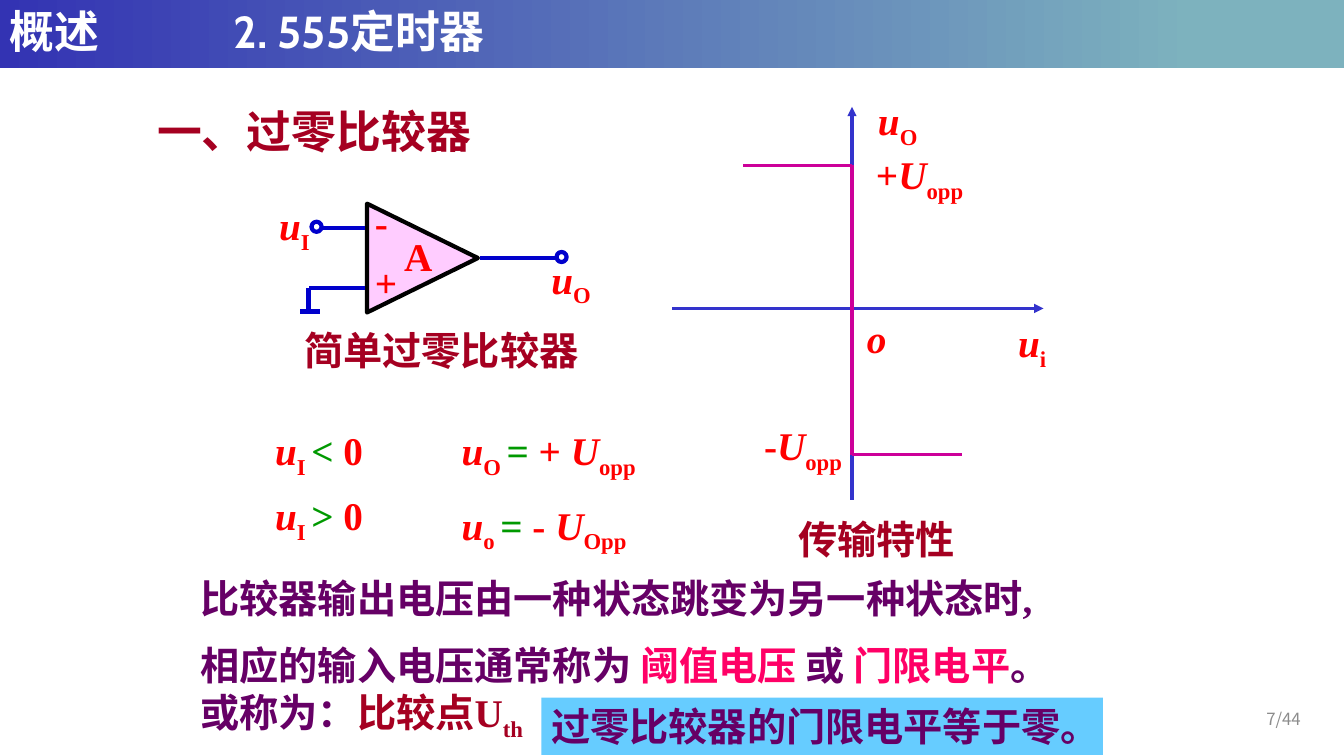
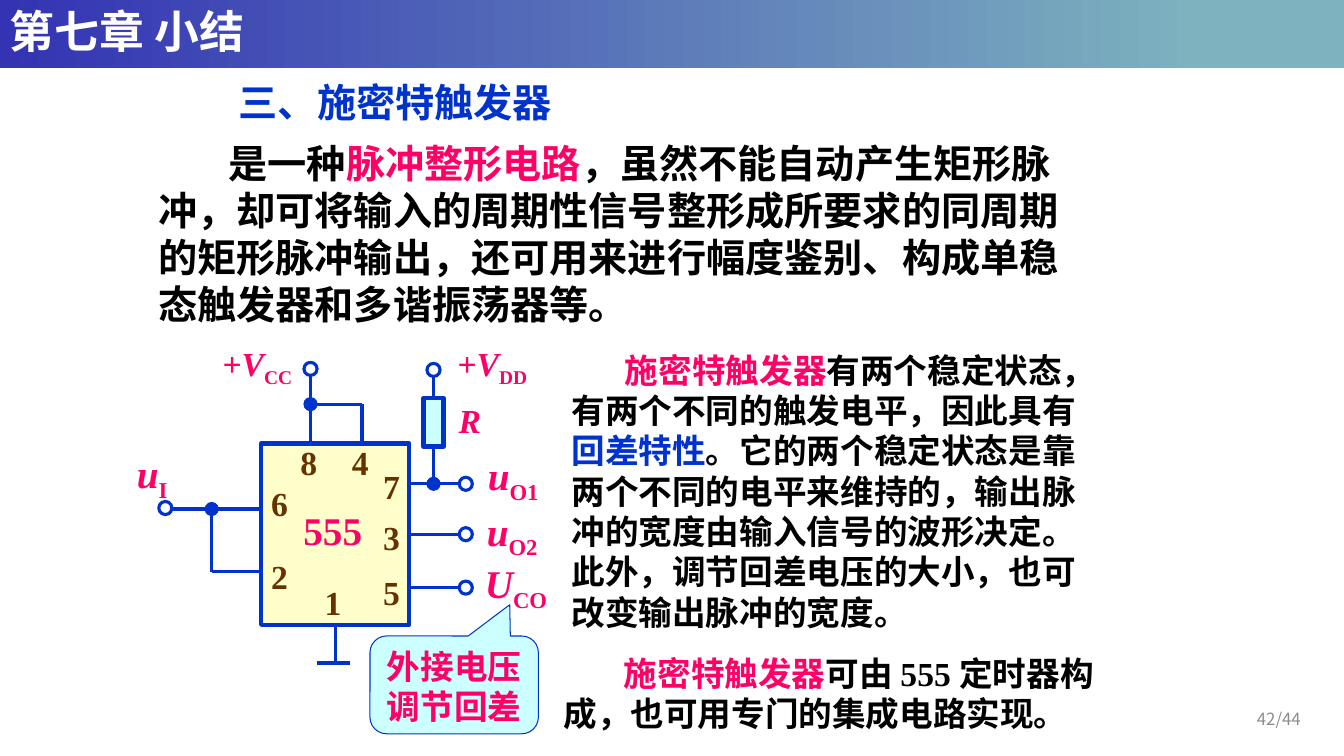
from itertools import pairwise

from lxml import etree
from pptx import Presentation
from pptx import util as u
from pptx.dml.color import RGBColor
from pptx.enum import shapes, text
from pptx.oxml.ns import qn

# Grid: one cell is a tenth of an inch
CELL = u.Inches(0.1)
COLUMNS, ROWS = 133.3, 75

WHITE = RGBColor(0xFF, 0xFF, 0xFF)
BLACK = RGBColor(0, 0, 0)
GREY = RGBColor(0x8C, 0x8C, 0x8C)
BAND_START = RGBColor(0x33, 0x33, 0xB3)
BAND_END = RGBColor(0x7D, 0xB2, 0xBE)
RED = RGBColor(0xFF, 0, 0)
DARK_RED = RGBColor(0xA5, 0, 0x21)
PURPLE = RGBColor(0x66, 0, 0x66)
PINK = RGBColor(0xFF, 0, 0x66)
GREEN = RGBColor(0, 0x99, 0)
BROWN = RGBColor(0x66, 0x33, 0)
BLUE = RGBColor(0, 0x33, 0xCC)
WIRE_BLUE = RGBColor(0, 0, 0xCC)
AXIS_BLUE = RGBColor(0x33, 0x33, 0xCC)
MAGENTA = RGBColor(0xCC, 0, 0x99)
PALE_PINK = RGBColor(0xFF, 0xCC, 0xFF)
PALE_YELLOW = RGBColor(0xFF, 0xFF, 0xCC)
PALE_CYAN = RGBColor(0xCC, 0xFF, 0xFF)
SKY = RGBColor(0x66, 0xCC, 0xFF)

SERIF, TITLE_FONT = "Times New Roman", "Cabin"
SANS, HEADING_FONT = "Noto Sans CJK SC", "Noto Sans CJK JP"
SHAPE = shapes.MSO_SHAPE


def cells(*counts):
    return [u.Emu(round(count * CELL)) for count in counts]


def add_span(para, content, size=28, color=BLACK, font=SERIF, east=SANS,
             bold=True, style=""):
    """Style "i" is italic and "s" is subscript."""
    span = para.add_run()
    span.text = content
    span.font.size = u.Pt(size)
    span.font.bold = bold
    span.font.italic = style == "i"
    span.font.name = font
    span.font.color.rgb = color
    props = span.font._element
    if style == "s":
        props.set("baseline", "-25000")
    etree.SubElement(props, qn("a:ea")).set("typeface", east)


def write(box, *paragraphs, inset=True, indent=0, space=0, spacing=None, tab=0,
          align=text.PP_ALIGN.LEFT, anchor=text.MSO_ANCHOR.TOP, **style):
    """Each paragraph is a string or a list of (text, style[, colour])."""
    frame = box.text_frame
    frame.word_wrap = True
    frame.vertical_anchor = anchor
    if not inset:
        frame.margin_left = frame.margin_right = 0
        frame.margin_top = frame.margin_bottom = 0
    for index, spans in enumerate(paragraphs):
        para = frame.add_paragraph() if index else frame.paragraphs[0]
        para.alignment = align
        para.line_spacing = spacing
        if index:
            para.space_before = u.Pt(space)
        props = para._p.get_or_add_pPr()
        if indent and not index:
            props.set("indent", str(cells(indent)[0]))
        if tab:
            stops = etree.SubElement(props, qn("a:tabLst"))
            etree.SubElement(stops, qn("a:tab"), pos=str(cells(tab)[0]), algn="l")
        if isinstance(spans, str):
            spans = [(spans, "")]
        for content, kind, *color in spans:
            look = {**style, "color": color[0]} if color else style
            add_span(para, content, style=kind, **look)


class Panel:
    """A region of a page; every place is relative to its origin."""

    def __init__(self, page, left=0, top=0, ink=BLUE):
        self.page, self.left, self.top, self.ink = page, left, top, ink

    def shape(self, kind, left, top, width, height, fill, line=None, weight=3):
        box = self.page.shapes.add_shape(
            kind, *cells(self.left + left, self.top + top, width, height))
        box.shadow.inherit = False
        box.fill.solid()
        box.fill.fore_color.rgb = fill
        if line is None:
            box.line.fill.background()
        else:
            box.line.color.rgb = line
            box.line.width = u.Pt(weight)
        return box

    def label(self, left, top, *paragraphs, width=12, height=5.7, **style):
        box = self.page.shapes.add_textbox(
            *cells(self.left + left, self.top + top, width, height))
        write(box, *paragraphs, **style)

    def circle(self, x, y, size=1.3, fill=WHITE, weight=2.25):
        self.shape(SHAPE.OVAL, x - size / 2, y - size / 2, size, size,
                   fill, self.ink, weight)

    def wire(self, *points, weight=2.25, color=None, arrow=False, start=None, end=None):
        """Straight lines through the points; start and end are (shape, site)."""
        for (x1, y1), (x2, y2) in pairwise(points):
            line = self.page.shapes.add_connector(
                shapes.MSO_CONNECTOR.STRAIGHT,
                *cells(self.left + x1, self.top + y1, self.left + x2, self.top + y2))
            line.line.color.rgb = color or self.ink
            line.line.width = u.Pt(weight)
            if arrow:
                etree.SubElement(line.line._get_or_add_ln(), qn("a:tailEnd"),
                                 type="triangle")
            etree.SubElement(line._element.spPr, qn("a:effectLst"))
            if start:
                line.begin_connect(*start)
            if end:
                line.end_connect(*end)


def symbol(name, sub, sign=""):
    return [(sign, "")] * bool(sign) + [(name, "i"), (sub, "s")]


def add_page(deck, title, number):
    """Blank page with the shared title band and page number."""
    page = deck.slides.add_slide(deck.slide_layouts[6])
    panel = Panel(page)
    band = panel.shape(SHAPE.RECTANGLE, 0, 0, COLUMNS, 6.8, BAND_START)
    band.fill.gradient()
    band.fill.gradient_angle = 0
    for stop, color, position in zip(band.fill.gradient_stops,
                                     (BAND_START, BAND_END), (0, 0.89)):
        stop.color.rgb = color
        stop.position = position
    write(band, title, size=32, color=WHITE, font=TITLE_FONT, spacing=0.9,
          tab=22.2, anchor=text.MSO_ANCHOR.MIDDLE)
    panel.label(116.9, 69.3, f"{number}/44", width=13.1, height=4, size=12,
                color=GREY, font=SANS, bold=False, align=text.PP_ALIGN.RIGHT,
                anchor=text.MSO_ANCHOR.MIDDLE)
    return page


def draw_amplifier(page, left, top):
    panel = Panel(page, left, top, WIRE_BLUE)
    body = panel.shape(SHAPE.ISOSCELES_TRIANGLE, 9.5, 0.1, 10.8, 11, PALE_PINK, BLACK)
    body.rotation = 90
    # Inputs, ground and output
    panel.wire((5, 2.6), (9.2, 2.6), weight=3)
    panel.wire((9.2, 8.6), (3.6, 8.6), (3.6, 10.9), weight=3)
    panel.wire((2.8, 10.9), (4.7, 10.9), weight=3)
    panel.wire((20.6, 5.6), (28.1, 5.6), weight=3)
    for x, y in ((4.4, 2.5), (28.7, 5.5)):
        panel.circle(x, y, size=1, weight=3)
    for x, y, name in ((9.2, 5.1, "+"), (9.2, -0.8, "-"), (12.1, 2.6, "A"),
                       (26.7, 4.8, symbol("u", "O")), (-0.3, -0.5, symbol("u", "I"))):
        panel.label(x, y, name, width=6.4, color=RED)
    panel.label(2.2, 11.9, "简单过零比较器", width=31.2, color=DARK_RED)


def draw_transfer_curve(page, left, top):
    """Graph whose origin is the crossing of its axes."""
    panel = Panel(page, left, top, AXIS_BLUE)
    panel.wire((-17.8, 0), (19, 0), arrow=True)
    panel.wire((0, 19), (0, -20), arrow=True)
    panel.wire((-10.8, -14.2), (0, -14.2), (0, 14.5), (10.9, 14.5), color=MAGENTA)
    for x, y, name in ((1.6, -21.5, symbol("u", "O")), (15.5, 0.5, symbol("u", "i")),
                       (0.5, 0.1, [("o", "i")]), (1.4, -16.2, symbol("U", "opp", "+")),
                       (-9.7, 10.7, symbol("U", "opp", "-"))):
        panel.label(x, y, name, color=RED)
    panel.label(-6.3, 20, "传输特性", width=18, color=DARK_RED)


def write_formulas(page, left, top):
    panel = Panel(page, left, top)
    rows = (("<", "O ", " + ", "opp"), (">", "o ", " - ", "Opp"))
    for row, (relation, output, sign, level) in enumerate(rows):
        panel.label(0, row * 6.5, symbol("u", "I ") + [(relation, "", GREEN), (" 0", "")],
                    width=12.9, color=RED)
        panel.label(18.5, row * 7.4, symbol("u", output) + [("=", "", GREEN)]
                    + symbol("U", level, sign), width=26, color=RED)


def build_comparator(deck):
    page = add_page(deck, "概述\t2. 555定时器", 7)
    panel = Panel(page)
    panel.label(14.6, 9.8, "一、过零比较器", width=62.2, height=6.3, size=32,
                color=DARK_RED, font=HEADING_FONT, east=HEADING_FONT)
    draw_amplifier(page, 27, 20)
    draw_transfer_curve(page, 84.5, 30.6)
    write_formulas(page, 26.3, 41.8)
    # Definition of the threshold
    panel.label(18.9, 56.5, "比较器输出电压由一种状态跳变为另一种状态时,",
                [("相应的输入电压通常称为 ", ""), ("阈值电压 ", "", PINK), ("或 ", ""),
                 ("门限电平", "", PINK), ("。或称为：", ""),
                 ("比较点U", "", DARK_RED), ("th", "s", DARK_RED)],
                width=87.1, height=17.5, color=PURPLE, space=14)
    result = panel.shape(SHAPE.RECTANGLE, 53.7, 69.2, 55.7, 5.7, SKY)
    write(result, "过零比较器的门限电平等于零。", color=PURPLE)


def draw_timer(page, left, top):
    """Timer circuit whose origin is the corner of the chip."""
    panel = Panel(page, left, top)
    chip = panel.shape(SHAPE.RECTANGLE, 0, 0, 14.7, 18, PALE_YELLOW, BLUE)
    resistor = panel.shape(SHAPE.RECTANGLE, 16.1, -4.5, 2, 4.8, PALE_CYAN, BLUE)
    # Supply, input and ground
    panel.wire((4.9, 0), (4.9, -6.8), weight=2)
    panel.wire((4.9, -3.9), (10, -3.9), (10, 0))
    panel.wire((-9, 6.5), (0, 6.5))
    panel.wire((-4.9, 6.5), (-4.9, 12.7), (0, 12.7))
    panel.wire((7.35, 18), (7.35, 21.8), weight=2, start=(chip, 2))
    panel.wire((5.5, 21.8), (8.8, 21.8), weight=3)
    # Outputs
    for y, joint in ((4, None), (9, (chip, 3)), (14.3, None)):
        panel.wire((14.7, y), (19.7, y), start=joint)
        panel.circle(20.3, y)
    # Pull-up branch
    panel.wire((17.1, -6.7), (17.1, -4.5), weight=2, end=(resistor, 0))
    panel.wire((17.1, 0.3), (17.1, 4), weight=2, start=(resistor, 2))
    for x, y in ((4.9, -7.4), (17.1, -7.3), (-9.5, 6.4)):
        panel.circle(x, y)
    for x, y in ((4.9, -3.9), (-4.9, 6.5), (17.1, 4)):
        panel.circle(x, y, fill=BLUE, weight=0.75)
    # Pin numbers and names
    for pin, x, y in (("6", 1, 3.9), ("2", 1, 11.2), ("7", 12.1, 2.2), ("8", 3.9, -0.2),
                      ("4", 9, -0.2), ("1", 6.3, 13.7), ("5", 12.1, 12.7),
                      ("3", 12.1, 7.3)):
        panel.label(x, y, pin, width=2, height=4, inset=False, size=24, color=BROWN)
    panel.label(4.2, 6.2, "555", width=7, height=4.7, inset=False, color=PINK)
    for x, y, size, name in ((-4.8, -10.5, 24, symbol("V", "CC", "+")),
                             (18.5, -10.5, 24, symbol("V", "DD", "+")),
                             (18.6, -4.8, 24, [("R", "i")]),
                             (-13.3, 0.1, 28, symbol("u", "I")),
                             (21.5, 0.3, 28, symbol("u", "O1")),
                             (21.4, 5.8, 28, symbol("u", "O2")),
                             (21.2, 11, 28, symbol("U", "CO"))):
        panel.label(x, y, name, width=11, size=size, color=PINK)
    # Hint on the control pin
    hint = panel.shape(SHAPE.ROUNDED_RECTANGULAR_CALLOUT, 10.8, 19.1, 16.7, 9.7,
                       PALE_CYAN, BLUE, 0.75)
    for index, value in enumerate((0.33, -0.82, 0.17)):
        hint.adjustments[index] = value
    write(hint, "外接电压调节回差", size=24, color=PINK, align=text.PP_ALIGN.CENTER)


def build_summary(deck):
    page = add_page(deck, "第七章 小结", 42)
    panel = Panel(page)
    panel.label(22.7, 7.3, "三、施密特触发器", width=50.3, color=BLUE)
    panel.label(14.7, 13.3,
                [("是一种", ""), ("脉冲整形电路", "", PINK),
                 ("，虽然不能自动产生矩形脉冲，却可将输入的周期性信号整形成所要求的同周期", "")],
                "的矩形脉冲输出，还可用来进行幅度鉴别、构成单稳态触发器和多谐振荡器等。",
                width=93.3, height=19.7, indent=7)
    draw_timer(page, 25.9, 44)
    # Properties and realisation
    subject = ("施密特触发器", "", PINK)
    panel.label(55.7, 34.2,
                [subject, ("有两个稳定状态，有两个不同的触发电平，因此具有", ""),
                 ("回差特性", "", BLUE),
                 ("。它的两个稳定状态是靠两个不同的电平来维持的，输出脉冲的宽度由输入信号的"
                  "波形决定。此外，调节回差电压的大小，也可改变输出脉冲的宽度。", "")],
                width=55.2, height=29, size=24, indent=5.3)
    panel.label(54.9, 64.3,
                [subject, ("可由 555 定时器构成，也可用专门的集成电路实现。", "")],
                width=55.7, height=9, size=24, indent=6)


def main():
    deck = Presentation()
    deck.slide_width, deck.slide_height = cells(COLUMNS, ROWS)
    build_comparator(deck)
    build_summary(deck)
    deck.save("out.pptx")


if __name__ == "__main__":
    main()
